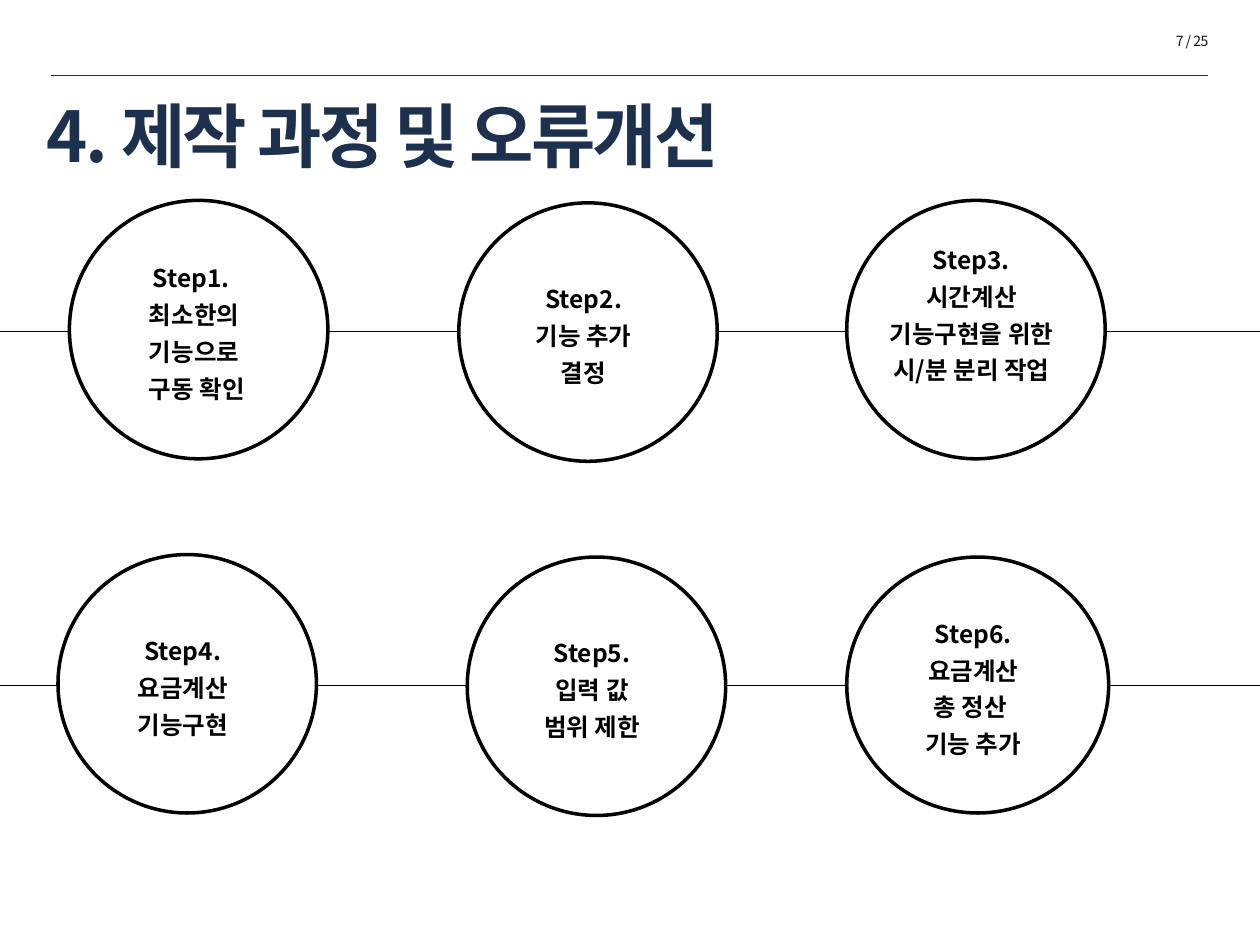
from lxml import etree
from pptx import Presentation
from pptx import util as u
from pptx.dml.color import RGBColor
from pptx.enum import shapes, text
from pptx.oxml.ns import qn

FONT = "Noto Sans CJK KR"
COLORS = {"navy": "1D314E", "rule": "1C314E", "ink": "000000",
          "page": "0D0D0D", "paper": "FFFFFF"}

prs = Presentation()
prs.slide_width, prs.slide_height = u.Cm(25.4), u.Cm(19.05)
s = prs.slides.add_slide(prs.slide_layouts[6])


def add_line(x1, x2, y, color, width):
    """Draw a horizontal line without a shadow."""
    c = s.shapes.add_connector(shapes.MSO_CONNECTOR.STRAIGHT,
                               u.Cm(x1), u.Cm(y), u.Cm(x2), u.Cm(y))
    c.line.color.rgb = RGBColor.from_string(COLORS[color])
    c.line.width = u.Pt(width)
    etree.SubElement(c._element.spPr, qn("a:effectLst"))


def add_text(x, y, w, h, lines, size, color, align, bold=False, spacing=0):
    """Add a text box with one paragraph per line; spacing is between letters."""
    sp = s.shapes.add_textbox(u.Cm(x), u.Cm(y), u.Cm(w), u.Cm(h))
    tf = sp.text_frame
    tf.word_wrap = True
    tf.text = "\n".join(lines)
    for p in tf.paragraphs:
        p.alignment = align
        for r in p.runs:
            r.font.name = FONT
            r.font.size = u.Pt(size)
            r.font.bold = bold
            r.font.color.rgb = RGBColor.from_string(COLORS[color])
            rPr = r._r.get_or_add_rPr()
            etree.SubElement(rPr, qn("a:ea")).set("typeface", FONT)
            if spacing:
                rPr.set("spc", str(round(spacing * 100)))
    return tf


# Header
add_line(1.02, 24.36, 1.52, "rule", 0.25)
add_text(20.22, 0.53, 4.39, 0.61, ["7 / 25"], 8, "page",
         text.PP_ALIGN.RIGHT, spacing=-0.3)
tf = add_text(0.69, 1.52, 23.57, 2.39, ["4. 제작 과정 및 오류개선"], 40, "navy",
              text.PP_ALIGN.LEFT, bold=True, spacing=-1.5)
tf.vertical_anchor = text.MSO_ANCHOR.MIDDLE

# Timelines behind the steps
for y in (6.68, 13.82):
    add_line(0, 25.4, y, "ink", 0.75)

# Steps: left, top, width, height, space kept free below the text, lines
D = 5.21
steps = [
    (1.4, 4.04, D, D, 0, ["Step1. ", "최소한의", "기능으로", " 구동 확인"]),
    (9.25, 4.09, D, D, 0, ["Step2.", "기능 추가", "결정"]),
    (17.07, 4.04, D, D, 0.74,
     ["Step3.", "시간계산", "기능구현을 위한", "시/분 분리 작업"]),
    (1.17, 11.18, D, D, 0, ["Step4.", "요금계산", "기능구현"]),
    (9.42, 11.23, D, D, 0, ["Step5.", "입력 값", "범위 제한"]),
    (17.07, 11.23, 5.28, 5.16, 0,
     ["Step6.", "요금계산", "총 정산 ", "기능 추가"]),
]
for x, y, w, h, below, lines in steps:
    sp = s.shapes.add_shape(shapes.MSO_SHAPE.OVAL,
                            u.Cm(x), u.Cm(y), u.Cm(w), u.Cm(h))
    sp.shadow.inherit = False
    sp.fill.solid()
    sp.fill.fore_color.rgb = RGBColor.from_string(COLORS["paper"])
    sp.line.color.rgb = RGBColor.from_string(COLORS["ink"])
    sp.line.width = u.Pt(2)

    tf = add_text(x + 0.24, y, w - 0.66, h, lines, 14, "ink",
                  text.PP_ALIGN.CENTER, bold=True)
    tf.vertical_anchor = text.MSO_ANCHOR.MIDDLE
    tf.margin_left = tf.margin_right = tf.margin_top = 0
    tf.margin_bottom = u.Cm(below)
    for p in tf.paragraphs:
        p.line_spacing = u.Pt(21)

prs.save("out.pptx")
